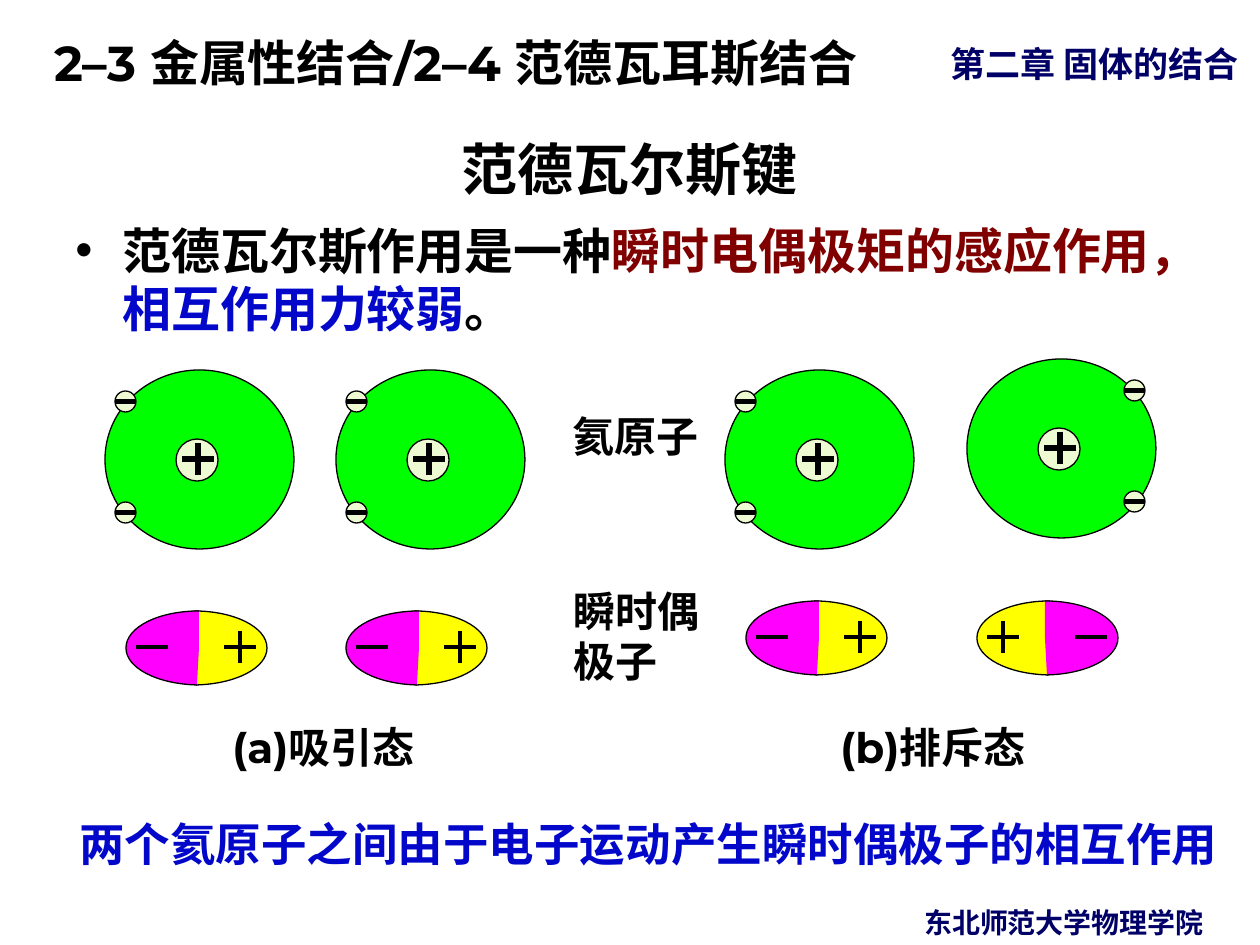
from copy import deepcopy
from lxml.etree import SubElement
from pptx import Presentation
from pptx.dml.color import RGBColor
from pptx.enum.shapes import MSO_CONNECTOR, MSO_SHAPE
from pptx.enum.text import MSO_ANCHOR, PP_ALIGN
from pptx.oxml.ns import qn
from pptx.util import Pt

SCALE = 914400 / 126
SANS, LATIN = "Noto Sans CJK SC", "Montserrat"
COLORS = {"black": "000000", "navy": "000066", "blue": "0207CA", "maroon": "800000",
          "green": "00FF00", "cream": "EDFAD2", "yellow": "FFFF00", "pink": "FF00FF"}
CURVE = [(40, 0), (73, 16), (73, 37), (73, 57), (42, 73), (2, 74)]


def px(n):
    return round(n * SCALE)


def paint(target, color):
    target.solid()
    target.fore_color.rgb = RGBColor.from_string(COLORS[color])


def style(shape, color):
    shape.shadow.inherit = False
    paint(shape.fill, color)
    paint(shape.line.fill, "black")
    shape.line.width = Pt(0.75)


def add_text(slide, box, runs, size, face=SANS, inset=None, bullet=0, frame=None, para=None):
    body = slide.shapes.add_textbox(*map(px, box)).text_frame
    body.word_wrap = True
    for name, value in (frame or {}).items():
        setattr(body, name, value)
    if inset:
        body.margin_left = px(inset)
    line = body.paragraphs[0]
    for name, value in (para or {}).items():
        setattr(line, name, value)
    if bullet:
        props = line._p.get_or_add_pPr()
        props.set("marL", str(px(bullet)))
        props.set("indent", str(-px(bullet)))
        SubElement(props, qn("a:buFont")).set("typeface", "Arial")
        SubElement(props, qn("a:buChar")).set("char", "•")
    for words, color in runs:
        run = line.add_run()
        run.text = words
        for name, value in {"size": Pt(size), "bold": True, "name": face}.items():
            setattr(run.font, name, value)
        paint(run.font.fill, color)
        SubElement(run.font._element, qn("a:ea")).set("typeface", SANS)


def add_disc(group, x, y, w, h, color):
    style(group.shapes.add_shape(MSO_SHAPE.OVAL, *map(px, (x, y, w, h))), color)


def add_line(group, ends, width):
    line = group.shapes.add_connector(MSO_CONNECTOR.STRAIGHT, *map(px, ends))
    paint(line.line.fill, "black")
    line.line.width = Pt(width)
    SubElement(line._element.spPr, qn("a:effectLst"))


def add_sign(group, x, y, half, width, plus=False):
    add_line(group, (x - half, y, x + half, y), width)
    if plus:
        add_line(group, (x, y - half, x, y + half), width)


def add_atom(slide, x, y, flip):
    group = slide.shapes.add_group_shape()
    add_disc(group, x, y, 189, 179, "green")
    add_disc(group, x + 71, y + 69, 42, 42, "cream")
    add_sign(group, x + 93, y + 89, 16, 3, plus=True)
    left = x + (157 if flip else 10)
    for top in (y + 21, y + 132):
        add_disc(group, left, top, 21, 21, "cream")
        add_sign(group, left + 10.5, top + 10.5, 10.5, 3)


def add_lobe(group, hub, top, side, color):
    maker = group.shapes.build_freeform(px(hub), px(top))
    spots = CURVE + [(0, 37)]
    maker.add_line_segments([(px(hub + side * dx), px(top + dy)) for dx, dy in spots], close=True)
    lobe = maker.convert_to_shape()
    style(lobe, color)
    face = lobe._element.find(".//" + qn("a:path"))
    steps = face.findall(qn("a:lnTo"))
    for start in (0, 3):
        trio = steps[start:start + 3]
        bend = SubElement(face, qn("a:cubicBezTo"))
        trio[0].addprevious(bend)
        for step in trio:
            bend.append(step[0])
            face.remove(step)
    rim = deepcopy(face)
    face.set("stroke", "0")
    rim.set("fill", "none")
    for part in rim[-2:]:
        rim.remove(part)
    face.addprevious(rim)


def add_dipole(slide, x, y, flip):
    group = slide.shapes.add_group_shape()
    west, east = (x + 73, -1, x + 26), (x + 68, 1, x + 114)
    plus, minus = (west, east) if flip else (east, west)
    for (hub, side, _), color in ((plus, "yellow"), (minus, "pink")):
        add_lobe(group, hub, y, side, color)
    add_sign(group, plus[2], y + 36, 16, 2, plus=True)
    add_sign(group, minus[2], y + 36, 16, 2)


def main():
    deck = Presentation()
    deck.slide_width, deck.slide_height = px(1260), px(945)
    slide = deck.slides.add_slide(deck.slide_layouts[6])
    center = {"alignment": PP_ALIGN.CENTER}

    add_text(slide, (938, 36, 322, 54), [("第二章 固体的结合", "navy")], 20)
    add_text(slide, (0, 14, 1029, 81), [("2–3 金属性结合/2–4 范德瓦耳斯结合", "black")], 28, LATIN,
             inset=54, frame={"vertical_anchor": MSO_ANCHOR.MIDDLE}, para={"line_spacing": 1.25})
    add_text(slide, (868, 899, 392, 46), [("东北师范大学物理学院", "navy")], 16, para=center)
    add_text(slide, (63, 116, 1134, 93), [("范德瓦尔斯键", "black")], 32,
             frame={"vertical_anchor": MSO_ANCHOR.BOTTOM}, para={**center, "line_spacing": 0.9})
    add_text(slide, (63, 214, 1197, 115),
             [("范德瓦尔斯作用是一种", "black"), ("瞬时电偶极矩的感应作用，", "maroon"),
              ("相互作用力较弱", "blue"), ("。", "black")], 28, bullet=47)

    for x, y, flip in ((105, 370, False), (336, 370, False), (725, 370, False), (967, 359, True)):
        add_atom(slide, x, y, flip)
    for x, y, flip in ((126, 611, False), (346, 611, False), (746, 601, False), (977, 601, True)):
        add_dipole(slide, x, y, flip)

    for words, box in (("(a)吸引态", (220, 715, 284, 63)), ("氦原子", (560, 404, 189, 63)),
                       ("(b)排斥态", (828, 715, 221, 63)), ("瞬时偶极子", (561, 579, 168, 115))):
        add_text(slide, box, [(words, "black")], 24, LATIN)
    add_text(slide, (63, 810, 1172, 68),
             [("两个氦原子之间由于电子运动产生瞬时偶极子的相互作用", "blue")], 26, para=center)
    deck.save("out.pptx")


if __name__ == "__main__":
    main()
